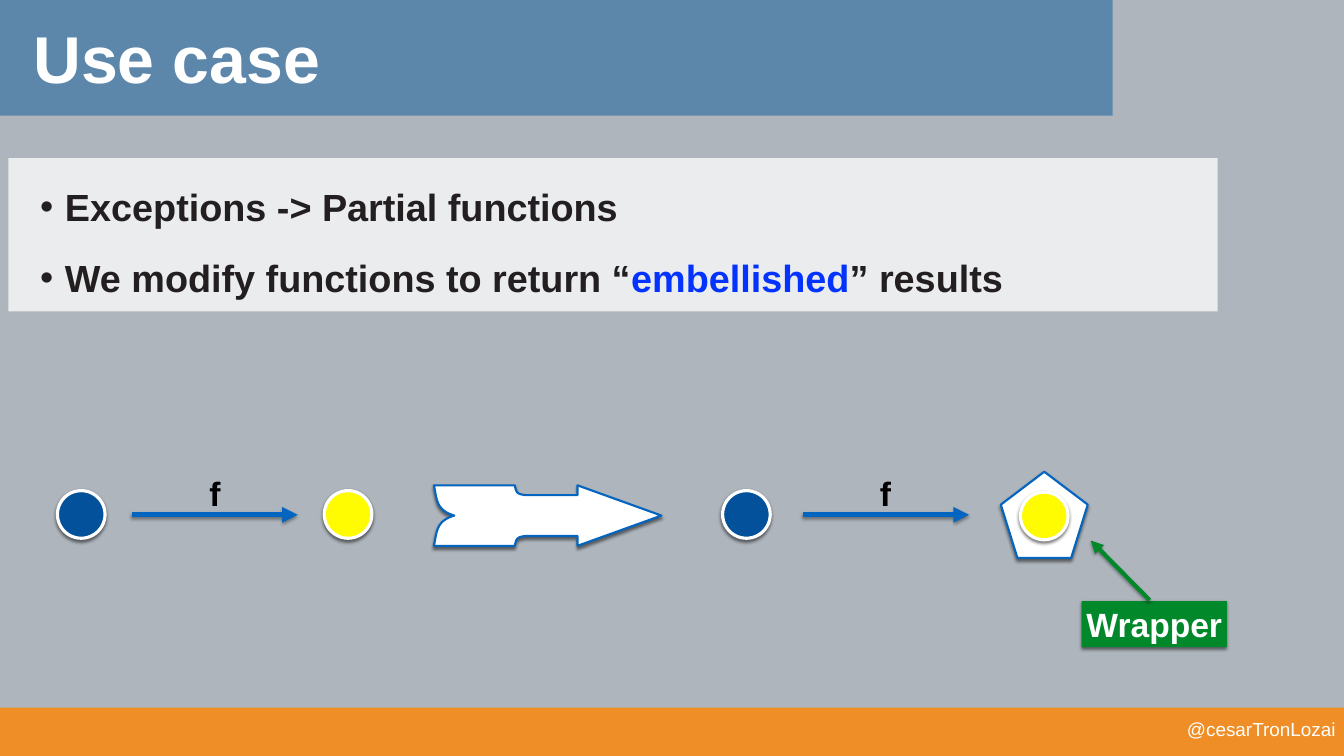
import dataclasses
import typing

import lxml.etree
import pptx
import pptx.dml.color
import pptx.enum.dml
import pptx.enum.shapes
import pptx.enum.text
import pptx.oxml.ns
import pptx.util

PIXEL = 9144
FONT = "Arial"
WHITE, BLACK, INK = "FFFFFF", "000000", "231F21"
NAVY, YELLOW, BLUE, GREEN = "02519A", "FFFB00", "0365C0", "00882B"
ALIGN = pptx.enum.text.PP_ALIGN
ANCHOR = pptx.enum.text.MSO_ANCHOR
AUTO_SIZE = pptx.enum.text.MSO_AUTO_SIZE
SHAPE = pptx.enum.shapes.MSO_SHAPE


@dataclasses.dataclass(frozen=True)
class Box:
    left: int
    top: int
    width: int
    height: int

    def lengths(self) -> list[int]:
        return [px(value) for value in dataclasses.astuple(self)]


@dataclasses.dataclass(frozen=True)
class Dot:
    left: int
    top: int
    color: str


@dataclasses.dataclass(frozen=True)
class Arrow:
    start: tuple[int, int]
    end: tuple[int, int]
    color: str
    weight: int


def px(value: float) -> int:
    return round(value * PIXEL)


def rgb(color: str) -> pptx.dml.color.RGBColor:
    return pptx.dml.color.RGBColor.from_string(color)


def add_element(parent: typing.Any, tag: str, **attributes: typing.Any) -> typing.Any:
    texts = {name: str(value) for name, value in attributes.items()}
    return lxml.etree.SubElement(parent, pptx.oxml.ns.qn(tag), texts)


def set_shadow(shape: typing.Any, opacity: int, distance: float = 2) -> None:
    effects = add_element(shape.element.spPr, "a:effectLst")
    if opacity:
        shadow = add_element(effects, "a:outerShdw", blurRad=pptx.util.Pt(3),
                             dist=pptx.util.Pt(distance), dir=5400000, rotWithShape=0)
        color = add_element(shadow, "a:srgbClr", val=BLACK)
        add_element(color, "a:alpha", val=opacity * 1000)


def paint(shape: typing.Any, fill: str, line: str = "", weight: int = 0,
          opacity: int = 0) -> None:
    shape.fill.solid()
    shape.fill.fore_color.rgb = rgb(fill)
    if line:
        shape.line.color.rgb = rgb(line)
        shape.line.width = pptx.util.Pt(weight)
    else:
        shape.line.fill.background()
    set_shadow(shape, opacity)


def place(shape: typing.Any, box: Box) -> None:
    shape.left, shape.top, shape.width, shape.height = box.lengths()


def set_frame(frame: typing.Any, inset: int, anchor: typing.Any, wrap: bool = True,
              grow: bool = False) -> None:
    frame.margin_left = frame.margin_right = px(inset)
    frame.margin_top = frame.margin_bottom = px(inset)
    frame.vertical_anchor = anchor
    frame.word_wrap = wrap
    frame.auto_size = AUTO_SIZE.SHAPE_TO_FIT_TEXT if grow else AUTO_SIZE.NONE


def write(paragraph: typing.Any, text: str, *, size: int, color: str,
          bold: bool = True, align: typing.Any = ALIGN.LEFT) -> None:
    paragraph.alignment = align
    run = paragraph.add_run()
    run.text = text
    run.font.name = FONT
    run.font.size = pptx.util.Pt(size)
    run.font.bold = bold
    run.font.color.rgb = rgb(color)


def draw_shape(shapes: typing.Any, kind: typing.Any, box: Box, fill: str,
               **style: typing.Any) -> typing.Any:
    shape = shapes.add_shape(kind, *box.lengths())
    paint(shape, fill, **style)
    return shape


def draw_dot(shapes: typing.Any, dot: Dot) -> None:
    draw_shape(shapes, SHAPE.OVAL, Box(dot.left, dot.top, 63, 63), dot.color,
               line=WHITE, weight=3, opacity=50)


def draw_arrow(shapes: typing.Any, arrow: Arrow) -> None:
    ends = [px(value) for value in arrow.start + arrow.end]
    connector = shapes.add_connector(pptx.enum.shapes.MSO_CONNECTOR.STRAIGHT, *ends)
    connector.line.color.rgb = rgb(arrow.color)
    connector.line.width = pptx.util.Pt(arrow.weight)
    add_element(connector.line._get_or_add_ln(), "a:tailEnd", type="triangle")
    set_shadow(connector, 38, 1.6)


def write_label(shape: typing.Any, text: str, color: str) -> None:
    set_frame(shape.text_frame, 6, ANCHOR.MIDDLE, wrap=False, grow=True)
    write(shape.text_frame.paragraphs[0], text, size=32, color=color, align=ALIGN.CENTER)


def curve(*controls: tuple[int, int], steps: int = 12) -> list[tuple[float, float]]:
    points = []
    for step in range(1, steps + 1):
        t = step / steps
        weights = ((1 - t) ** 3, 3 * t * (1 - t) ** 2, 3 * t * t * (1 - t), t ** 3)
        points.append(tuple(sum(weight * control[axis] for weight, control
                                in zip(weights, controls)) for axis in (0, 1)))
    return points


def draw_big_arrow(shapes: typing.Any) -> None:
    axis = 682
    upper = [(875, 682), (764, 642), (764, 655), (700, 655)]
    upper += curve((700, 655), (681, 655), (683, 649), (681, 642))
    upper += [(574, 642)]
    upper += curve((574, 642), (578, 659), (576, 675), (601, 682))
    lower = [(x, 2 * axis - y) for x, y in reversed(upper[1:-1])]
    points = [(px(x), px(y)) for x, y in upper + lower]
    builder = shapes.build_freeform(*points[0], scale=1.0)
    builder.add_line_segments(points[1:], close=True)
    paint(builder.convert_to_shape(), WHITE, line=BLUE, weight=2, opacity=50)


def fill_title(title: typing.Any) -> None:
    place(title, Box(39, -34, 1600, 220))
    set_frame(title.text_frame, 5, ANCHOR.MIDDLE)
    write(title.text_frame.paragraphs[0], "Use case", size=63, color=WHITE)


def fill_body(body: typing.Any) -> None:
    place(body, Box(11, 209, 1600, 203))
    paint(body, WHITE)
    color = body.fill._xPr.find(".//" + pptx.oxml.ns.qn("a:srgbClr"))
    add_element(color, "a:alpha", val=75000)
    frame = body.text_frame
    set_frame(frame, 0, ANCHOR.TOP)
    items = [
        [("Exceptions -> Partial functions", INK)],
        [("We modify functions to return “", INK), ("embellished", "0433FF"),
         ("” results", INK)],
    ]
    for index, runs in enumerate(items):
        paragraph = frame.add_paragraph() if index else frame.paragraphs[0]
        properties = paragraph._p.get_or_add_pPr()
        properties.set("marL", str(px(75)))
        properties.set("indent", str(px(-33)))
        add_element(properties, "a:buFont", typeface=FONT)
        add_element(properties, "a:buChar", char="•")
        paragraph.line_spacing = 1.57
        paragraph.space_before = pptx.util.Pt(0)
        for text, run_color in runs:
            write(paragraph, text, size=36, color=run_color)


def main() -> None:
    presentation = pptx.Presentation()
    presentation.slide_width, presentation.slide_height = px(1778), px(1000)
    slide = presentation.slides.add_slide(presentation.slide_layouts[1])
    slide.background.fill.solid()
    slide.background.fill.fore_color.rgb = rgb("AEB5BC")
    shapes = slide.shapes
    title, body = shapes.title, slide.placeholders[1]

    draw_shape(shapes, SHAPE.RECTANGLE, Box(0, -2, 1472, 155), "5C87AB")
    draw_shape(shapes, SHAPE.RECTANGLE, Box(0, 936, 1783, 68), "EF8E26")
    footer = shapes.add_textbox(*Box(991, 950, 776, 28).lengths())
    set_frame(footer.text_frame, 0, ANCHOR.MIDDLE, grow=True)
    write(footer.text_frame.paragraphs[0], "@cesarTronLozai", size=18, color=WHITE,
          bold=False, align=ALIGN.RIGHT)
    for placeholder in (body, title):
        shapes.element.append(placeholder.element)
    fill_title(title)
    fill_body(body)

    draw_big_arrow(shapes)
    draw_shape(shapes, SHAPE.REGULAR_PENTAGON, Box(1324, 624, 115, 114), WHITE,
               line=BLUE, weight=2, opacity=50)
    for dot in (Dot(76, 649, NAVY), Dot(429, 649, YELLOW),
                Dot(956, 649, NAVY), Dot(1350, 651, YELLOW)):
        draw_dot(shapes, dot)
    for left, label_left in ((174, 271), (1062, 1158)):
        draw_arrow(shapes, Arrow((left, 681), (left + 220, 681), BLUE, 5))
        label = shapes.add_textbox(*Box(label_left, 622, 27, 61).lengths())
        write_label(label, "f", BLACK)
    wrapper = draw_shape(shapes, SHAPE.RECTANGLE, Box(1431, 795, 192, 61), GREEN, opacity=50)
    write_label(wrapper, "Wrapper", WHITE)
    draw_arrow(shapes, Arrow((1521, 794), (1443, 715), GREEN, 4))
    presentation.save("out.pptx")


if __name__ == "__main__":
    main()
